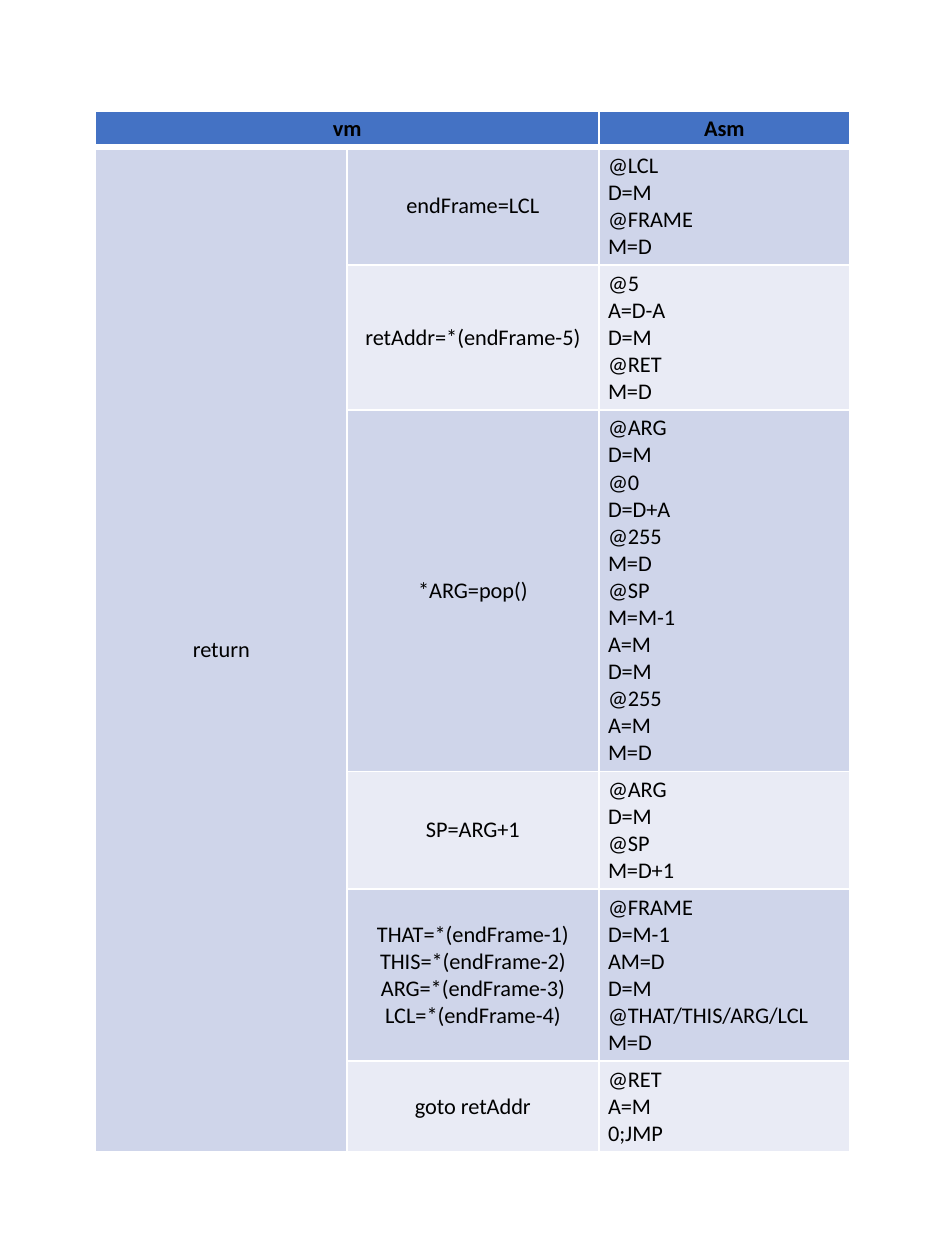
from lxml import etree
from pptx import Presentation
from pptx.dml.color import RGBColor
from pptx.enum.text import MSO_ANCHOR, PP_ALIGN
from pptx.oxml.ns import qn
from pptx.util import Pt

CENTER = PP_ALIGN.CENTER
LEFT = PP_ALIGN.LEFT
MIDDLE = MSO_ANCHOR.MIDDLE

HEADER_FILL = "4472C4"
BAND_FILLS = ["E9EBF5", "CFD5EA"]
BORDER_COLOR = "FFFFFF"
TEXT_COLOR = "000000"
COLUMN_WIDTH = 112.7
LINE_HEIGHT = 12.1
SIDE_MARGIN = 4.25
END_MARGIN = 2.1

# Each row holds the lines of its three cells; empty cells are merged away.
ROWS = [
    (["vm"], [], ["Asm"]),
    (["return"], ["endFrame=LCL"], ["@LCL", "D=M", "@FRAME", "M=D"]),
    ([], ["retAddr=*(endFrame-5)"], ["@5", "A=D-A", "D=M", "@RET", "M=D"]),
    ([], ["*ARG=pop()"],
     ["@ARG", "D=M", "@0", "D=D+A", "@255", "M=D", "@SP", "M=M-1",
      "A=M", "D=M", "@255", "A=M", "M=D"]),
    ([], ["SP=ARG+1"], ["@ARG", "D=M", "@SP", "M=D+1"]),
    ([],
     ["THAT=*(endFrame-1)", "THIS=*(endFrame-2)",
      "ARG=*(endFrame-3)", "LCL=*(endFrame-4)"],
     ["@FRAME", "D=M-1", "AM=D", "D=M", "@THAT/THIS/ARG/LCL", "M=D"]),
    ([], ["goto retAddr"], ["@RET", "A=M", "0;JMP"]),
]


def color(hex_string):
    return RGBColor.from_string(hex_string)


def set_borders(cell, top, bottom):
    """Draw the four cell borders; top and bottom widths are in points."""
    properties = cell._tc.get_or_add_tcPr()
    widths = {"a:lnL": 1, "a:lnR": 1, "a:lnT": top, "a:lnB": bottom}
    for position, (tag, width) in enumerate(widths.items()):
        line = etree.Element(qn(tag), w=str(Pt(width)))
        fill = etree.SubElement(line, qn("a:solidFill"))
        etree.SubElement(fill, qn("a:srgbClr"), val=BORDER_COLOR)
        properties.insert(position, line)


presentation = Presentation()
presentation.slide_width = Pt(423.36)
presentation.slide_height = Pt(564.48)
slide = presentation.slides.add_slide(presentation.slide_layouts[6])

heights = [LINE_HEIGHT * max(map(len, row)) + 2 * END_MARGIN for row in ROWS]
frame = slide.shapes.add_table(
    len(ROWS), 3, Pt(42.8), Pt(49.7), Pt(3 * COLUMN_WIDTH), Pt(sum(heights)))
table = frame.table
for column in table.columns:
    column.width = Pt(COLUMN_WIDTH)

for row_index, row in enumerate(ROWS):
    table.rows[row_index].height = Pt(heights[row_index])
    is_header = row_index == 0
    for column_index, lines in enumerate(row):
        cell = table.cell(row_index, column_index)
        cell.vertical_anchor = MIDDLE
        cell.margin_left = cell.margin_right = Pt(SIDE_MARGIN)
        cell.margin_top = cell.margin_bottom = Pt(END_MARGIN)
        cell.fill.solid()
        cell.fill.fore_color.rgb = color(
            HEADER_FILL if is_header else BAND_FILLS[row_index % 2])
        set_borders(cell, top=3 if row_index == 1 else 1,
                    bottom=3 if is_header else 1)

        text_frame = cell.text_frame
        for line_index, text in enumerate(lines):
            paragraph = (text_frame.add_paragraph() if line_index
                         else text_frame.paragraphs[0])
            is_code = column_index == 2 and not is_header
            paragraph.alignment = LEFT if is_code else CENTER
            run = paragraph.add_run()
            run.text = text
            run.font.name = "Calibri"
            run.font.size = Pt(10)
            run.font.bold = is_header
            run.font.color.rgb = color(TEXT_COLOR)

table.cell(0, 0).merge(table.cell(0, 1))
table.cell(1, 0).merge(table.cell(len(ROWS) - 1, 0))

presentation.save("out.pptx")
